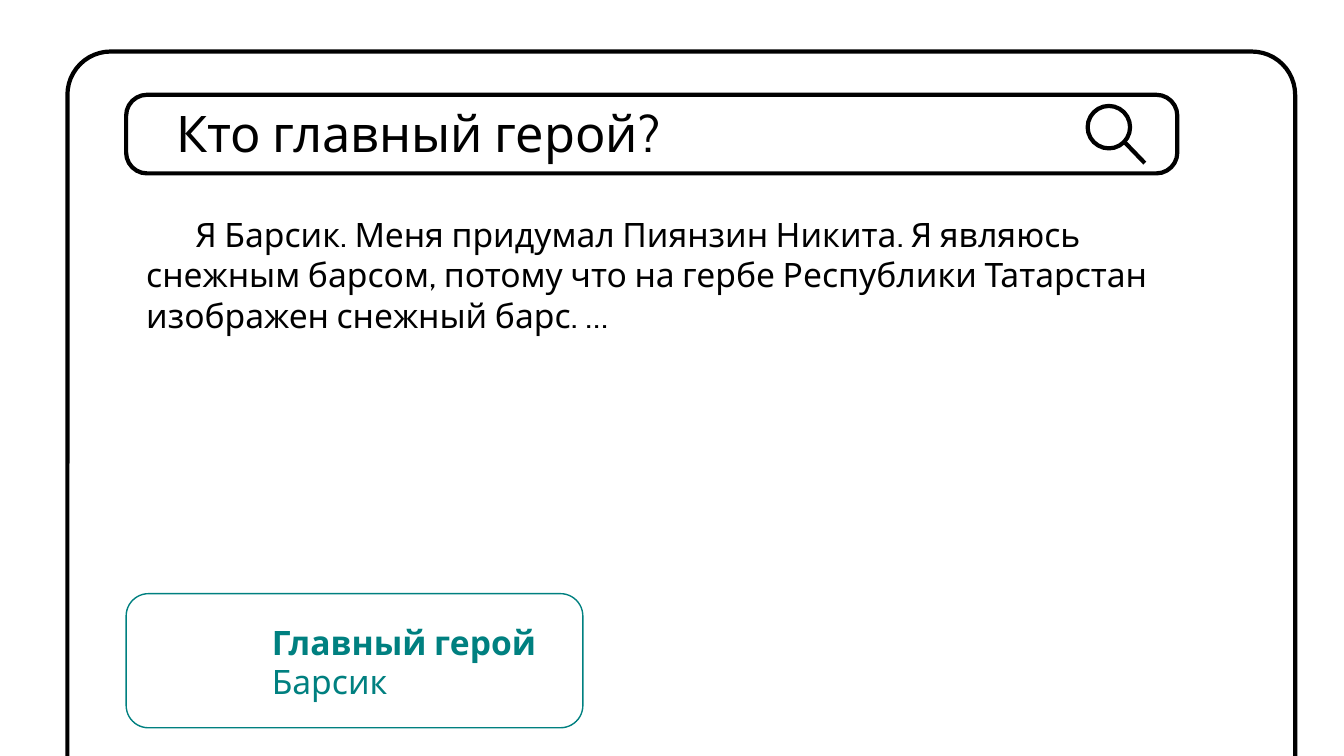
from dataclasses import dataclass

from lxml import etree
from pptx import Presentation
from pptx.dml.color import RGBColor
from pptx.enum.shapes import MSO_CONNECTOR, MSO_SHAPE
from pptx.enum.text import MSO_ANCHOR, MSO_AUTO_SIZE, PP_ALIGN
from pptx.oxml.ns import qn
from pptx.util import Cm, Pt

BLACK = RGBColor(0x00, 0x00, 0x00)
WHITE = RGBColor(0xFF, 0xFF, 0xFF)
TEAL = RGBColor(0x00, 0x80, 0x80)
FONT = "Cabin"
ROUNDED = MSO_SHAPE.ROUNDED_RECTANGLE
OVAL = MSO_SHAPE.OVAL
STRAIGHT = MSO_CONNECTOR.STRAIGHT
TOP = MSO_ANCHOR.TOP
LEFT = PP_ALIGN.LEFT
NO_AUTOFIT = MSO_AUTO_SIZE.NONE


@dataclass(frozen=True)
class Box:
    left: float
    top: float
    width: float
    height: float

    def lengths(self) -> tuple:
        return Cm(self.left), Cm(self.top), Cm(self.width), Cm(self.height)


@dataclass(frozen=True)
class Outline:
    box: Box
    preset: int = ROUNDED
    color: RGBColor = BLACK
    weight: float = 3
    corner: float | None = None
    fill: RGBColor | None = None


@dataclass(frozen=True)
class Caption:
    box: Box
    text: str
    size: int = 24
    color: RGBColor = BLACK
    bold: bool = False
    spacing: float = 0.9
    before: float = 10
    indent: float = 0


def draw_outline(shapes, outline: Outline) -> None:
    shape = shapes.add_shape(outline.preset, *outline.box.lengths())
    shape.shadow.inherit = False
    if outline.corner is not None:
        shape.adjustments[0] = outline.corner
    if outline.fill is None:
        shape.fill.background()
    else:
        shape.fill.solid()
        shape.fill.fore_color.rgb = outline.fill
    shape.line.color.rgb = outline.color
    shape.line.width = Pt(outline.weight)


def write_caption(holder, caption: Caption) -> None:
    holder.left, holder.top, holder.width, holder.height = caption.box.lengths()
    frame = holder.text_frame
    frame.word_wrap = True
    frame.auto_size = NO_AUTOFIT
    frame.vertical_anchor = TOP
    paragraph = frame.paragraphs[0]
    paragraph.alignment = LEFT
    paragraph.line_spacing = caption.spacing
    paragraph.space_before = Pt(caption.before)
    properties = paragraph._p.get_or_add_pPr()
    properties.set("marL", "0")
    properties.set("indent", str(Cm(caption.indent)))
    etree.SubElement(properties, qn("a:buNone"))
    run = paragraph.add_run()
    run.text = caption.text
    run.font.name = FONT
    run.font.size = Pt(caption.size)
    run.font.bold = caption.bold
    run.font.color.rgb = caption.color


FRAME = Outline(Box(1.7, 1.3, 30.94, 19.46), corner=0.056)
SEARCH_BAR = Outline(Box(3.18, 2.39, 26.49, 1.98), corner=0.265, fill=WHITE)
LENS = Outline(Box(27.41, 2.67, 1.07, 1.07), preset=OVAL)
HERO_CARD = Outline(Box(3.18, 14.96, 11.51, 3.38), color=TEAL, weight=1)

QUESTION = Caption(Box(4.19, 2.62, 14.66, 1.45), "Кто главный герой?", size=36)
STORY = Caption(
    Box(3.43, 5.26, 28.07, 6.76),
    "Я Барсик. Меня придумал Пиянзин Никита. Я являюсь снежным барсом, "
    "потому что на гербе Республики Татарстан изображен снежный барс. …",
    spacing=1, before=0, indent=1.24,
)
CARD_CAPTIONS = (
    Caption(Box(6.6, 16.64, 7.04, 1.02), "Барсик", color=TEAL),
    Caption(Box(6.6, 15.65, 8.51, 1.02), "Главный герой", color=TEAL, bold=True),
)


def main() -> None:
    deck = Presentation()
    deck.slide_width, deck.slide_height = Cm(33.87), Cm(19.05)
    slide = deck.slides.add_slide(deck.slide_layouts[1])
    shapes = slide.shapes

    # Story and browser window
    write_caption(slide.placeholders[1], STORY)
    draw_outline(shapes, FRAME)

    # Search bar with the question in front of it
    draw_outline(shapes, SEARCH_BAR)
    question = shapes.title
    write_caption(question, QUESTION)
    shapes._spTree.append(question._element)

    # Magnifying glass
    magnifier = shapes.add_group_shape().shapes
    draw_outline(magnifier, LENS)
    handle = magnifier.add_connector(STRAIGHT, Cm(28.32), Cm(3.56), Cm(28.85), Cm(4.11))
    handle.line.color.rgb = BLACK
    handle.line.width = Pt(3)
    etree.SubElement(handle._element.spPr, qn("a:effectLst"))

    # Hero card
    card = shapes.add_group_shape().shapes
    for caption in CARD_CAPTIONS:
        write_caption(card.add_textbox(*caption.box.lengths()), caption)
    draw_outline(card, HERO_CARD)

    deck.save("out.pptx")


if __name__ == "__main__":
    main()
